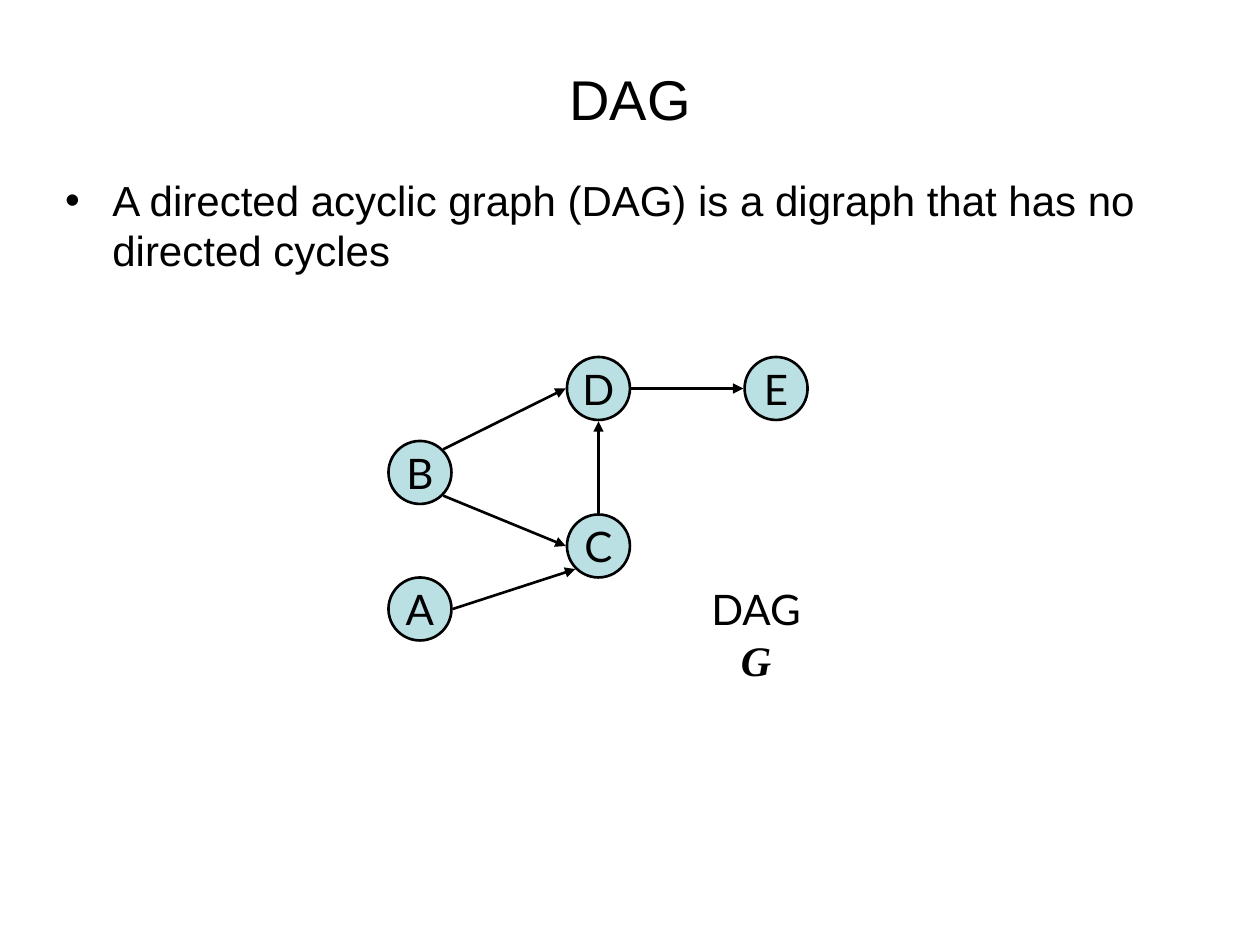
from dataclasses import dataclass
from math import cos, radians, sin

from lxml.etree import SubElement
from pptx import Presentation
from pptx.dml.color import RGBColor
from pptx.enum.shapes import MSO_CONNECTOR, MSO_SHAPE
from pptx.enum.text import MSO_ANCHOR, MSO_AUTO_SIZE, PP_ALIGN
from pptx.oxml.ns import qn
from pptx.shapes.group import GroupShape
from pptx.util import Pt


@dataclass(frozen=True)
class Theme:
    ink: RGBColor = RGBColor(0x00, 0x00, 0x00)
    node_fill: RGBColor = RGBColor(0xBB, 0xE0, 0xE3)
    text_font: str = "Arial"
    graph_font: str = "Lato"
    symbol_font: str = "Times New Roman"
    title_size: float = 32
    text_size: float = 24
    line_width: float = 1.5


@dataclass(frozen=True)
class Node:
    name: str
    left: float
    top: float


@dataclass(frozen=True)
class Edge:
    """Angles run clockwise in degrees from the right side of a node."""
    source: str
    source_angle: float
    target: str
    target_angle: float


THEME = Theme()
DIAMETER = 36
REACH = 18.72  # from a node's centre to where its edges attach

NODES = [
    Node("B", 222, 252),
    Node("A", 222, 330),
    Node("D", 324, 204),
    Node("C", 324, 294),
    Node("E", 425.5, 204),
]
EDGES = [
    Edge("B", -45, "D", 180),
    Edge("B", 45, "C", 180),
    Edge("D", 0, "E", 180),
    Edge("C", -90, "D", 90),
    Edge("A", 0, "C", 135),
]


def style_paragraph(para, font: str, size: float) -> None:
    para.font.name = font
    para.font.size = Pt(size)
    para.font.color.rgb = THEME.ink


def fill_placeholder(box, text: str, size: float, place: tuple):
    box.left, box.top, box.width, box.height = map(Pt, place)
    box.text_frame.text = text
    box.text_frame.auto_size = MSO_AUTO_SIZE.NONE
    para = box.text_frame.paragraphs[0]
    style_paragraph(para, THEME.text_font, size)
    return para


def draw_node(graph: GroupShape, node: Node) -> None:
    circle = graph.shapes.add_shape(
        MSO_SHAPE.OVAL, Pt(node.left), Pt(node.top), Pt(DIAMETER), Pt(DIAMETER))
    circle.shadow.inherit = False
    circle.fill.solid()
    circle.fill.fore_color.rgb = THEME.node_fill
    circle.line.color.rgb = THEME.ink
    circle.line.width = Pt(THEME.line_width)
    frame = circle.text_frame
    frame.word_wrap = False
    frame.vertical_anchor = MSO_ANCHOR.MIDDLE
    frame.text = node.name
    para = frame.paragraphs[0]
    para.alignment = PP_ALIGN.CENTER
    style_paragraph(para, THEME.graph_font, THEME.text_size)


def attach_point(node: Node, angle: float) -> tuple:
    turn = radians(angle)
    return (Pt(node.left + DIAMETER / 2 + REACH * cos(turn)),
            Pt(node.top + DIAMETER / 2 + REACH * sin(turn)))


def draw_edge(graph: GroupShape, edge: Edge, nodes: dict) -> None:
    start = attach_point(nodes[edge.source], edge.source_angle)
    end = attach_point(nodes[edge.target], edge.target_angle)
    arrow = graph.shapes.add_connector(MSO_CONNECTOR.STRAIGHT, *start, *end)
    arrow.line.color.rgb = THEME.ink
    arrow.line.width = Pt(THEME.line_width)
    SubElement(arrow.line._get_or_add_ln(), qn("a:tailEnd"), type="triangle")
    SubElement(arrow._element.spPr, qn("a:effectLst"))


def draw_caption(graph: GroupShape) -> None:
    box = graph.shapes.add_textbox(Pt(388), Pt(330), Pt(88), Pt(36))
    frame = box.text_frame
    frame.word_wrap = True
    # Wide side margins put the symbol on its own line
    frame.margin_left = frame.margin_right = Pt(11)
    para = frame.paragraphs[0]
    para.alignment = PP_ALIGN.CENTER
    style_paragraph(para, THEME.graph_font, THEME.text_size)
    para.add_run().text = "DAG "
    symbol = para.add_run()
    symbol.text = "G"
    symbol.font.name = THEME.symbol_font
    symbol.font.bold = symbol.font.italic = True


def main() -> None:
    deck = Presentation()
    deck.slide_width, deck.slide_height = Pt(720), Pt(540)
    page = deck.slides.add_slide(deck.slide_layouts[1])

    # Title and definition
    title = fill_placeholder(page.shapes.title, "DAG", THEME.title_size,
                             (36, 21.6, 648, 68.4))
    title.alignment = PP_ALIGN.CENTER
    definition = fill_placeholder(
        page.placeholders[1],
        "A directed acyclic graph (DAG) is a digraph that has no directed cycles",
        THEME.text_size, (30, 96, 648, 414))
    definition.space_before = Pt(6)

    # Graph
    graph = page.shapes.add_group_shape()
    for node in NODES:
        draw_node(graph, node)
    nodes = {node.name: node for node in NODES}
    for edge in EDGES:
        draw_edge(graph, edge, nodes)
    draw_caption(graph)

    deck.save("out.pptx")


if __name__ == "__main__":
    main()
